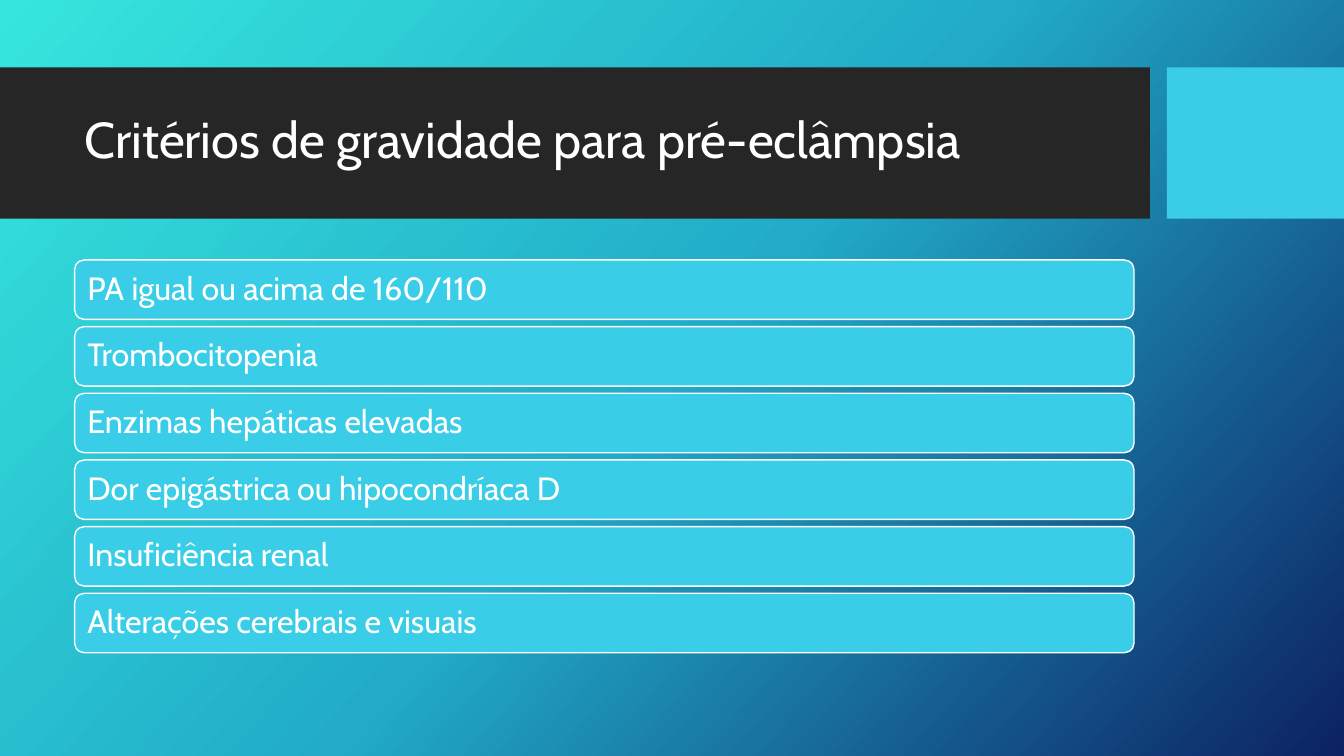
from copy import deepcopy

from pptx import Presentation
from pptx.dml.color import RGBColor
from pptx.enum.shapes import MSO_SHAPE as Shape
from pptx.enum.text import MSO_ANCHOR as Anchor, PP_ALIGN as Align
from pptx.util import Cm, Pt

COLORS = {
    "white": "FFFFFF",
    "band": "262626",
    "accent": "39CDE7",
    "bg_start": "36E6DD",
    "bg_middle": "21ABC8",
    "bg_end": "0C2263",
}
FONT = "Cabin"
TITLE = "Critérios de gravidade para pré-eclâmpsia"
CRITERIA = [
    "PA igual ou acima de 160/110",
    "Trombocitopenia",
    "Enzimas hepáticas elevadas",
    "Dor epigástrica ou hipocondríaca D",
    "Insuficiência renal",
    "Alterações cerebrais e visuais",
]

SLIDE_WIDTH, SLIDE_HEIGHT = Cm(33.87), Cm(19.05)
CONTENT_LEFT, CONTENT_WIDTH = Cm(1.88), Cm(26.7)
BAND_TOP, BAND_HEIGHT = Cm(1.7), Cm(3.81)
ROWS_TOP, ROW_HEIGHT, ROW_PITCH = Cm(6.55), Cm(1.5), Cm(1.68)


def color(name):
    return RGBColor.from_string(COLORS[name])


def set_gradient_background(slide):
    fill = slide.background.fill
    fill.gradient()
    fill.gradient_angle = 360 - 42
    stop_list = slide.element.xpath(".//a:gsLst")[0]
    stop_list.append(deepcopy(stop_list[-1]))
    names = ("bg_start", "bg_middle", "bg_end")
    for stop, position, name in zip(fill.gradient_stops, (0, 0.5, 1), names):
        stop.position = position
        stop.color.rgb = color(name)


def add_block(slide, kind, left, top, width, height, fill):
    block = slide.shapes.add_shape(kind, left, top, width, height)
    block.shadow.inherit = False
    block.fill.solid()
    block.fill.fore_color.rgb = color(fill)
    block.line.fill.background()
    return block


def write_text(shape, text, size):
    frame = shape.text_frame
    frame.text = text
    frame.word_wrap = True
    frame.vertical_anchor = Anchor.MIDDLE
    paragraph = frame.paragraphs[0]
    paragraph.alignment = Align.LEFT
    paragraph.line_spacing = 0.9
    font = paragraph.runs[0].font
    font.name = FONT
    font.size = Pt(size)
    font.color.rgb = color("white")


def add_title(slide):
    """Place the title over the dark band, which goes behind it."""
    band = add_block(slide, Shape.RECTANGLE, 0, BAND_TOP, Cm(28.98), BAND_HEIGHT, "band")
    accent_left = Cm(29.41)
    add_block(slide, Shape.RECTANGLE, accent_left, BAND_TOP,
              SLIDE_WIDTH - accent_left, BAND_HEIGHT, "accent")
    title = slide.shapes.title
    band.element.addnext(title.element)
    title.left, title.top = CONTENT_LEFT, Cm(2.08)
    title.width, title.height = CONTENT_WIDTH, Cm(3)
    write_text(title, TITLE, 36)


def add_criterion(slide, index, text):
    row = add_block(slide, Shape.ROUNDED_RECTANGLE, CONTENT_LEFT,
                    ROWS_TOP + index * ROW_PITCH, CONTENT_WIDTH, ROW_HEIGHT, "accent")
    row.line.color.rgb = color("white")
    row.line.width = Pt(1)
    write_text(row, text, 23)


def main():
    deck = Presentation()
    deck.slide_width, deck.slide_height = SLIDE_WIDTH, SLIDE_HEIGHT
    title_only = deck.slide_layouts[5]
    slide = deck.slides.add_slide(title_only)
    set_gradient_background(slide)
    add_title(slide)
    for index, text in enumerate(CRITERIA):
        add_criterion(slide, index, text)
    deck.save("out.pptx")


if __name__ == "__main__":
    main()
